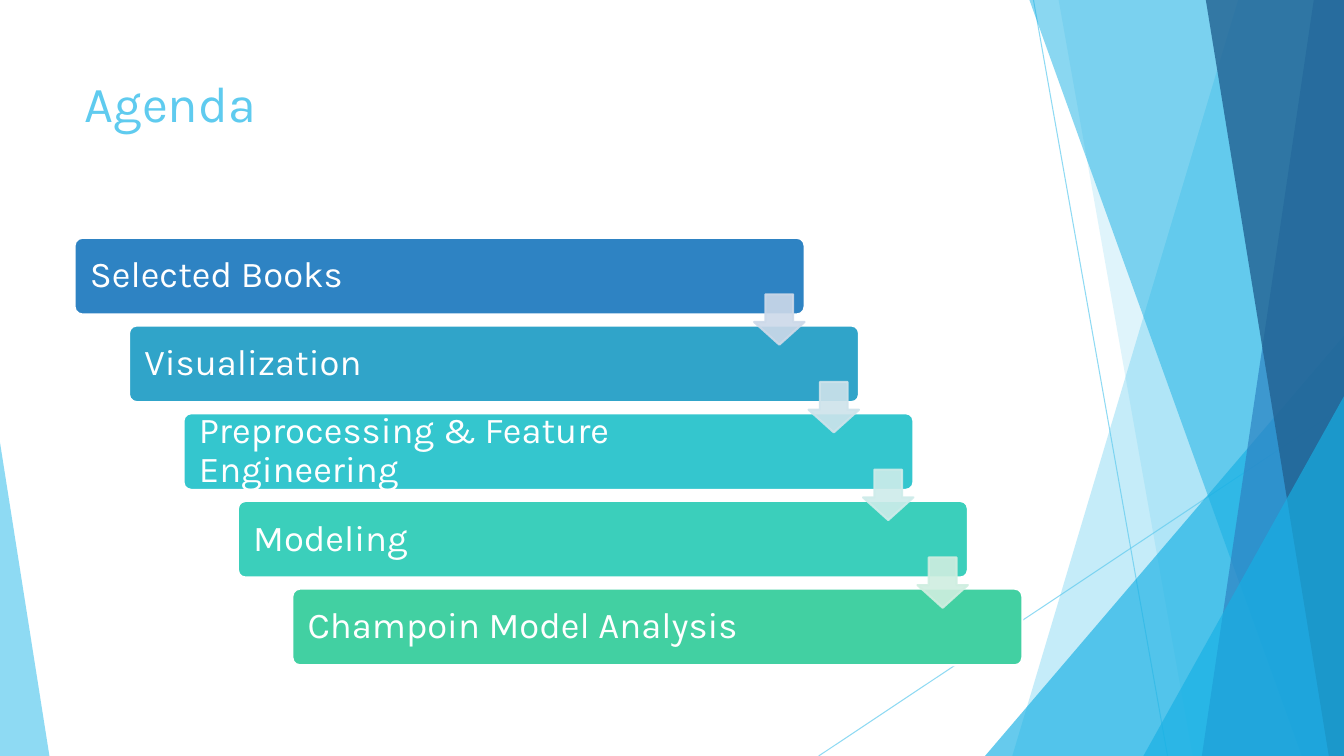
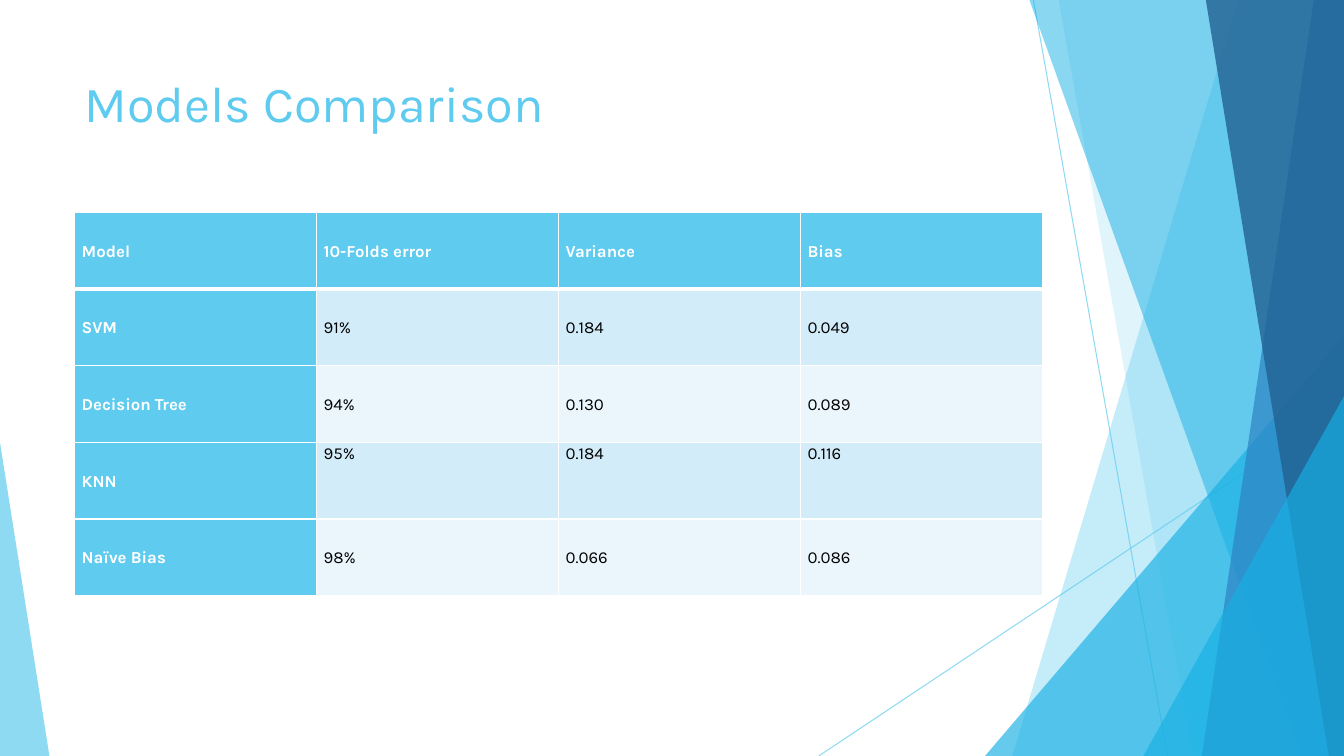
from lxml.etree import SubElement
from pptx import Presentation
from pptx.dml.color import RGBColor
from pptx.enum.shapes import MSO_CONNECTOR as CONNECTOR, MSO_SHAPE as SHAPE
from pptx.enum.text import MSO_ANCHOR as ANCHOR, MSO_AUTO_SIZE as AUTO_SIZE, PP_ALIGN as ALIGN
from pptx.oxml.ns import qn
from pptx.util import Inches, Pt

# Shared look
SLIDE_W, SLIDE_H = 13.33, 7.5
FONT = "Karla"
WHITE = RGBColor(0xFF, 0xFF, 0xFF)
BLACK = RGBColor(0x00, 0x00, 0x00)
SKY = RGBColor(0x5F, 0xCB, 0xEF)
CYAN = RGBColor(0x17, 0xB0, 0xE4)
BLUE = RGBColor(0x2E, 0x83, 0xC3)
NAVY = RGBColor(0x22, 0x62, 0x92)
ROW_TINTS = (RGBColor(0xD2, 0xEC, 0xF9), RGBColor(0xEA, 0xF6, 0xFC))
STEP_COLORS = (BLUE, RGBColor(0x30, 0xA4, 0xC9), RGBColor(0x34, 0xC6, 0xCE),
               RGBColor(0x3B, 0xCF, 0xBB), RGBColor(0x42, 0xD0, 0xA2))
ARROW_COLORS = (RGBColor(0xCD, 0xD9, 0xE9), RGBColor(0xCE, 0xE3, 0xEB),
                RGBColor(0xCE, 0xEC, 0xEA), RGBColor(0xCF, 0xEE, 0xE0))
TITLE_BOX = (0.74, 0.67, 9.4, 1.44)

# Content
STEPS = ("Selected Books", "Visualization", "Preprocessing & Feature Engineering",
         "Modeling", "Champoin Model Analysis")
MODELS = (
    ("Model", "10-Folds error", "Variance", "Bias"),
    ("SVM", "91%", "0.184", "0.049"),
    ("Decision Tree", "94%", "0.130", "0.089"),
    ("KNN", "95%", "0.184", "0.116"),
    ("Naïve Bias", "98%", "0.066", "0.086"),
)


def set_all(target, values):
    for name, value in values.items():
        setattr(target, name, value)


def write(frame, text, size, color, bold=False, spacing=1.0):
    frame.text = text
    paragraph = frame.paragraphs[0]
    set_all(paragraph, {"alignment": ALIGN.LEFT, "line_spacing": spacing})
    set_all(paragraph.font, {"name": FONT, "size": Pt(size), "bold": bold})
    paragraph.font.color.rgb = color


def set_opacity(shape, percent):
    for color in shape.element.spPr.iter(qn("a:srgbClr")):
        SubElement(color, qn("a:alpha"), val=str(percent * 1000))


def paint(shape, fill, line=None, opacity=100):
    shape.shadow.inherit = False
    shape.fill.solid()
    shape.fill.fore_color.rgb = fill
    if line is None:
        shape.line.fill.background()
    else:
        shape.line.color.rgb = line
        shape.line.width = Pt(1.5)
    if opacity < 100:
        set_opacity(shape, opacity)


def add_preset(slide, kind, box, adjustments):
    shape = slide.shapes.add_shape(kind, *map(Inches, box))
    for index, value in enumerate(adjustments):
        shape.adjustments[index] = value
    return shape


# Background facets, shared through the layout
def add_ray(slide, start, end):
    ray = slide.shapes.add_connector(CONNECTOR.STRAIGHT, *map(Inches, start + end))
    ray.line.color.rgb = SKY
    ray.line.width = Pt(0.75)
    set_opacity(ray, 70)
    SubElement(ray.element.spPr, qn("a:effectLst"))
    return ray


def add_facet(slide, top_x, bottom_x, color, opacity):
    """A pane from a slanted left edge to the right edge of the slide."""
    outline = slide.shapes.build_freeform(Inches(top_x), 0)
    corners = ((SLIDE_W, 0), (SLIDE_W, SLIDE_H), (bottom_x, SLIDE_H))
    outline.add_line_segments([(Inches(x), Inches(y)) for x, y in corners])
    facet = outline.convert_to_shape()
    paint(facet, color, opacity=opacity)
    return facet


def add_wedge(slide, left, top, width, apex, color, opacity):
    """A right triangle standing on the bottom edge of the slide."""
    box = (left, top, width, SLIDE_H - top)
    wedge = add_preset(slide, SHAPE.ISOSCELES_TRIANGLE, box, [apex])
    paint(wedge, color, opacity=opacity)
    return wedge


def move_facets_to_layout(slide, layout):
    facets = [
        add_ray(slide, (10.25, 0), (11.58, SLIDE_H)),
        add_ray(slide, (SLIDE_W, 4.03), (8.12, SLIDE_H)),
        add_facet(slide, 12.28, 10.04, SKY, 36),
        add_facet(slide, 10.5, 11.83, SKY, 20),
        add_wedge(slide, 9.77, 3.33, 3.56, 1, CYAN, 66),
        add_facet(slide, 10.21, 12.91, CYAN, 50),
        add_facet(slide, 13.03, 11.92, BLUE, 70),
        add_facet(slide, 11.96, 13.18, NAVY, 80),
        add_wedge(slide, 11.34, 3.93, 1.99, 1, CYAN, 66),
        add_wedge(slide, 0, 4.39, 0.49, 0, SKY, 70),
    ]
    tree = layout.shapes.element
    for index, facet in enumerate(facets):
        next(facet.element.iter(qn("p:cNvPr"))).set("id", str(101 + index))
        tree.insert(2 + index, facet.element)


def add_titled_slide(prs, layout, text):
    slide = prs.slides.add_slide(layout)
    title = slide.shapes.title
    set_all(title, dict(zip(("left", "top", "width", "height"), map(Inches, TITLE_BOX))))
    write(title.text_frame, text, 36, SKY)
    set_all(title.text_frame, {"vertical_anchor": ANCHOR.TOP, "word_wrap": True,
                               "auto_size": AUTO_SIZE.NONE})
    return slide


# Agenda: a staircase of bars with arrows between them
def add_staircase(slide, box):
    left, top, width, height = box
    shift, drop, arrow_size = 0.54, 0.87, 0.5
    gaps = len(STEPS) - 1
    bar_w, bar_h = width - gaps * shift, height - gaps * drop

    for i, (step, color) in enumerate(zip(STEPS, STEP_COLORS)):
        bar_box = (left + i * shift, top + i * drop, bar_w, bar_h)
        bar = add_preset(slide, SHAPE.ROUNDED_RECTANGLE, bar_box, [0.1])
        paint(bar, color, WHITE)
        write(bar.text_frame, step, 26, WHITE, spacing=0.9)
        set_all(bar.text_frame, {
            "vertical_anchor": ANCHOR.MIDDLE, "word_wrap": True,
            "margin_left": Inches(0.13), "margin_right": Inches(1.17),
            "margin_top": Inches(0.13), "margin_bottom": Inches(0.13)})

    for i, color in enumerate(ARROW_COLORS):
        arrow_box = (left + i * shift + bar_w - arrow_size, top + i * drop + 0.56,
                     arrow_size, arrow_size)
        arrow = add_preset(slide, SHAPE.DOWN_ARROW, arrow_box, [0.55, 0.45])
        paint(arrow, color, color, opacity=90)


# Models comparison: table with a header row and a header column
def set_borders(cell, **widths):
    properties = cell._tc.get_or_add_tcPr()
    for index, side in enumerate(("L", "R", "T", "B")):
        border = SubElement(properties, qn("a:ln" + side), w=str(Pt(widths.get(side, 1))))
        fill = SubElement(border, qn("a:solidFill"))
        SubElement(fill, qn("a:srgbClr"), val=str(WHITE))
        properties.insert(index, border)


def add_comparison(slide, box):
    left, top, width, height = box
    rows, cols = len(MODELS), len(MODELS[0])
    table = slide.shapes.add_table(rows, cols, *map(Inches, box)).table
    for column in table.columns:
        column.width = Inches(width / cols)
    for row in table.rows:
        row.height = Inches(height / rows)

    for r, values in enumerate(MODELS):
        for c, value in enumerate(values):
            cell = table.cell(r, c)
            heading = r == 0 or c == 0
            at_top = values[0] == "KNN" and not heading
            write(cell.text_frame, value, 12, WHITE if heading else BLACK, heading, 1.07)
            set_all(cell, {
                "vertical_anchor": ANCHOR.TOP if at_top else ANCHOR.MIDDLE,
                "margin_left": Inches(0.07), "margin_right": Inches(0.07),
                "margin_top": 0, "margin_bottom": 0})
            cell.fill.solid()
            cell.fill.fore_color.rgb = SKY if heading else ROW_TINTS[(r - 1) % 2]
            set_borders(cell, T=3 if r == 1 else 1, B=3 if r == 0 else 1)


def main():
    prs = Presentation()
    prs.slide_width, prs.slide_height = Inches(SLIDE_W), Inches(SLIDE_H)
    layout = prs.slide_layouts.get_by_name("Title Only")

    agenda = add_titled_slide(prs, layout, "Agenda")
    move_facets_to_layout(agenda, layout)
    add_staircase(agenda, (0.74, 2.36, 9.4, 4.24))

    comparison = add_titled_slide(prs, layout, "Models Comparison")
    add_comparison(comparison, (0.74, 2.11, 9.6, 3.8))

    prs.save("out.pptx")


if __name__ == "__main__":
    main()
